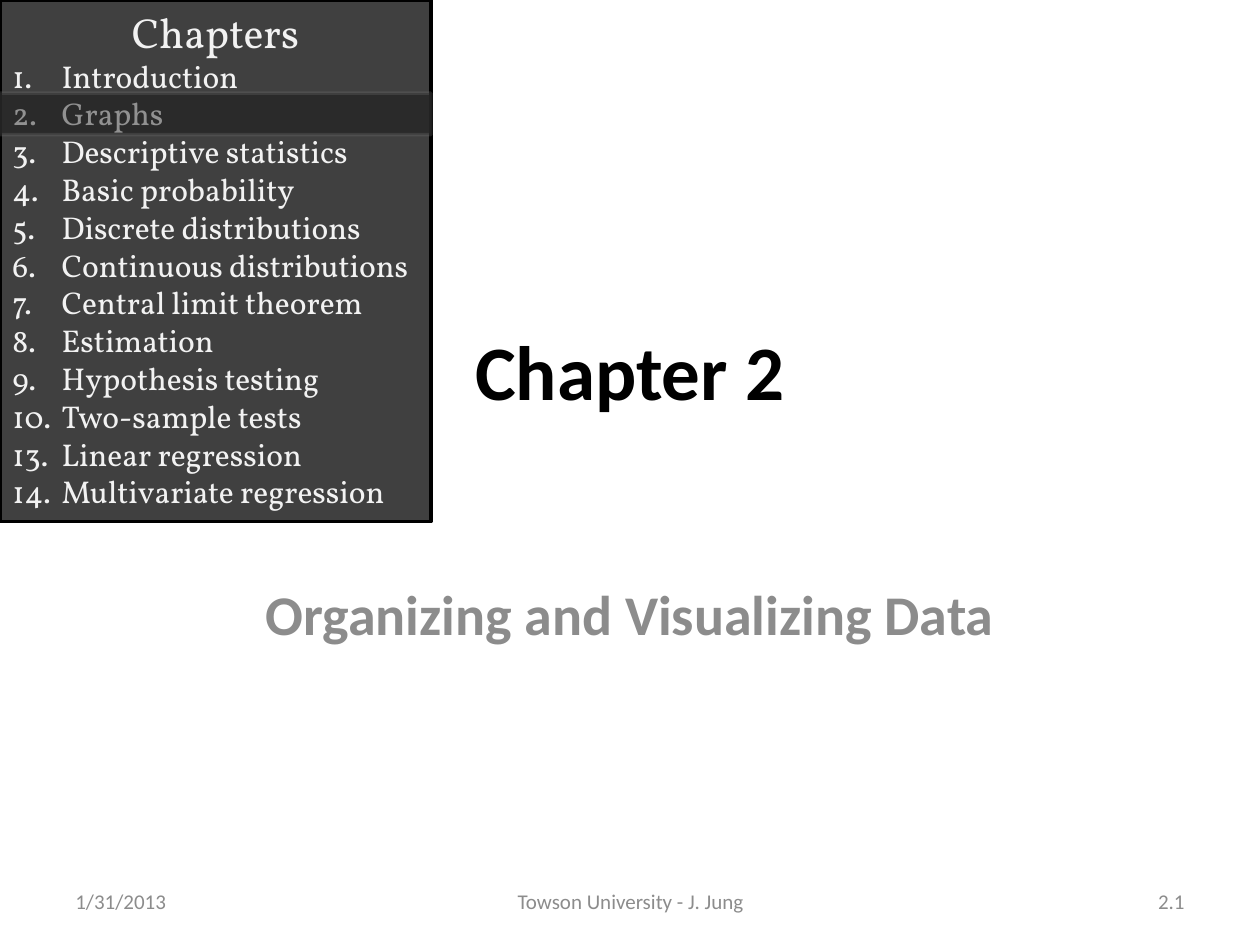
from lxml import etree
from pptx import Presentation
from pptx.dml.color import RGBColor
from pptx.enum.shapes import MSO_SHAPE
from pptx.enum.text import MSO_ANCHOR, PP_ALIGN
from pptx.oxml.ns import qn
from pptx.util import Inches, Pt

LEFT, CENTER, RIGHT = PP_ALIGN.LEFT, PP_ALIGN.CENTER, PP_ALIGN.RIGHT
TOP, MIDDLE = MSO_ANCHOR.TOP, MSO_ANCHOR.MIDDLE

# Content
TITLE = "Chapter 2"
SUBTITLE = "Organizing and Visualizing Data"
FOOTERS = [  # text, left, width, alignment
    ("1/31/2013", 0.5, 2.33, LEFT),
    ("Towson University - J. Jung", 3.42, 3.17, CENTER),
    ("2.1", 7.17, 2.33, RIGHT),
]
MENU_TITLE = "Chapters"
CHAPTERS = [
    (1, "Introduction"),
    (2, "Graphs"),
    (3, "Descriptive statistics"),
    (4, "Basic probability"),
    (5, "Discrete distributions"),
    (6, "Continuous distributions"),
    (7, "Central limit theorem"),
    (8, "Estimation"),
    (9, "Hypothesis testing"),
    (10, "Two-sample tests"),
    (13, "Linear regression"),
    (14, "Multivariate regression"),
]

THEME = {
    "body_font": "Calibri", "menu_font": "Vollkorn",
    "title": "000000", "muted": "8C8C8C",
    "menu_fill": "404040", "menu_line": "000000", "menu_text": "F2F2F2",
    "band_fill": "0D0D0D", "band_line": "808080",
    "title_size": 44, "subtitle_size": 32, "footer_size": 12,
    "menu_title_size": 24, "menu_size": 18, "line_width": 2,
}
MENU_WIDTH, MENU_HEIGHT = 3.42, 4.14
BAND_TOP, BAND_HEIGHT = 0.74, 0.33
NUMBER_INDENT = 0.39


def add_run(paragraph, text, font, size, color, bold=False):
    run = paragraph.add_run()
    run.text = text
    run.font.name = THEME[font]
    run.font.size = Pt(THEME[size])
    run.font.bold = bold
    run.font.color.rgb = RGBColor.from_string(THEME[color])


def write_line(shape, text, size, color, align, anchor, bold=False, spacing=1.0):
    frame = shape.text_frame
    frame.word_wrap = True
    frame.vertical_anchor = anchor
    paragraph = frame.paragraphs[0]
    paragraph.alignment = align
    paragraph.line_spacing = spacing
    add_run(paragraph, text, "body_font", size, color, bold)


def set_opacity(fill, percent):
    color = fill._xPr.find(qn("a:solidFill"))[0]
    etree.SubElement(color, qn("a:alpha"), val=str(percent * 1000))


def add_panel(slide, top, height, fill, line):
    panel = slide.shapes.add_shape(MSO_SHAPE.RECTANGLE, 0, Inches(top),
                                   Inches(MENU_WIDTH), Inches(height))
    panel.shadow.inherit = False
    panel.fill.solid()
    panel.fill.fore_color.rgb = RGBColor.from_string(THEME[fill])
    panel.line.color.rgb = RGBColor.from_string(THEME[line])
    panel.line.width = Pt(THEME["line_width"])
    return panel


prs = Presentation()
prs.slide_width, prs.slide_height = Inches(10), Inches(7.5)
slide = prs.slides.add_slide(prs.slide_layouts[5])

# Title and subtitle
title = slide.shapes.title
title.left, title.top = Inches(0.75), Inches(2.41)
title.width, title.height = Inches(8.5), Inches(1.14)
write_line(title, TITLE, "title_size", "title", CENTER, MIDDLE, True, 0.9)

subtitle = slide.shapes.add_textbox(Inches(1.5), Inches(4.61), Inches(7), Inches(1.97))
write_line(subtitle, SUBTITLE, "subtitle_size", "muted", CENTER, TOP, True, 0.9)

# Footer row
for text, left, width, align in FOOTERS:
    footer = slide.shapes.add_textbox(Inches(left), Inches(6.95), Inches(width), Inches(0.4))
    write_line(footer, text, "footer_size", "muted", align, MIDDLE)

# Chapter menu: numbers hang to the left of a tab stop
menu = add_panel(slide, 0, MENU_HEIGHT, "menu_fill", "menu_line").text_frame
menu.word_wrap = True
menu.vertical_anchor = TOP
heading = menu.paragraphs[0]
heading.alignment = CENTER
add_run(heading, MENU_TITLE, "menu_font", "menu_title_size", "menu_text")
for number, name in CHAPTERS:
    entry = menu.add_paragraph()
    entry.alignment = LEFT
    properties = entry._p.get_or_add_pPr()
    properties.set("marL", str(Inches(NUMBER_INDENT)))
    properties.set("indent", str(-Inches(NUMBER_INDENT)))
    add_run(entry, f"{number}.\t{name}", "menu_font", "menu_size", "menu_text")

# Translucent band over the current chapter
band = add_panel(slide, BAND_TOP, BAND_HEIGHT, "band_fill", "band_line")
set_opacity(band.fill, 42)
set_opacity(band.line.fill, 23)

prs.save("out.pptx")
